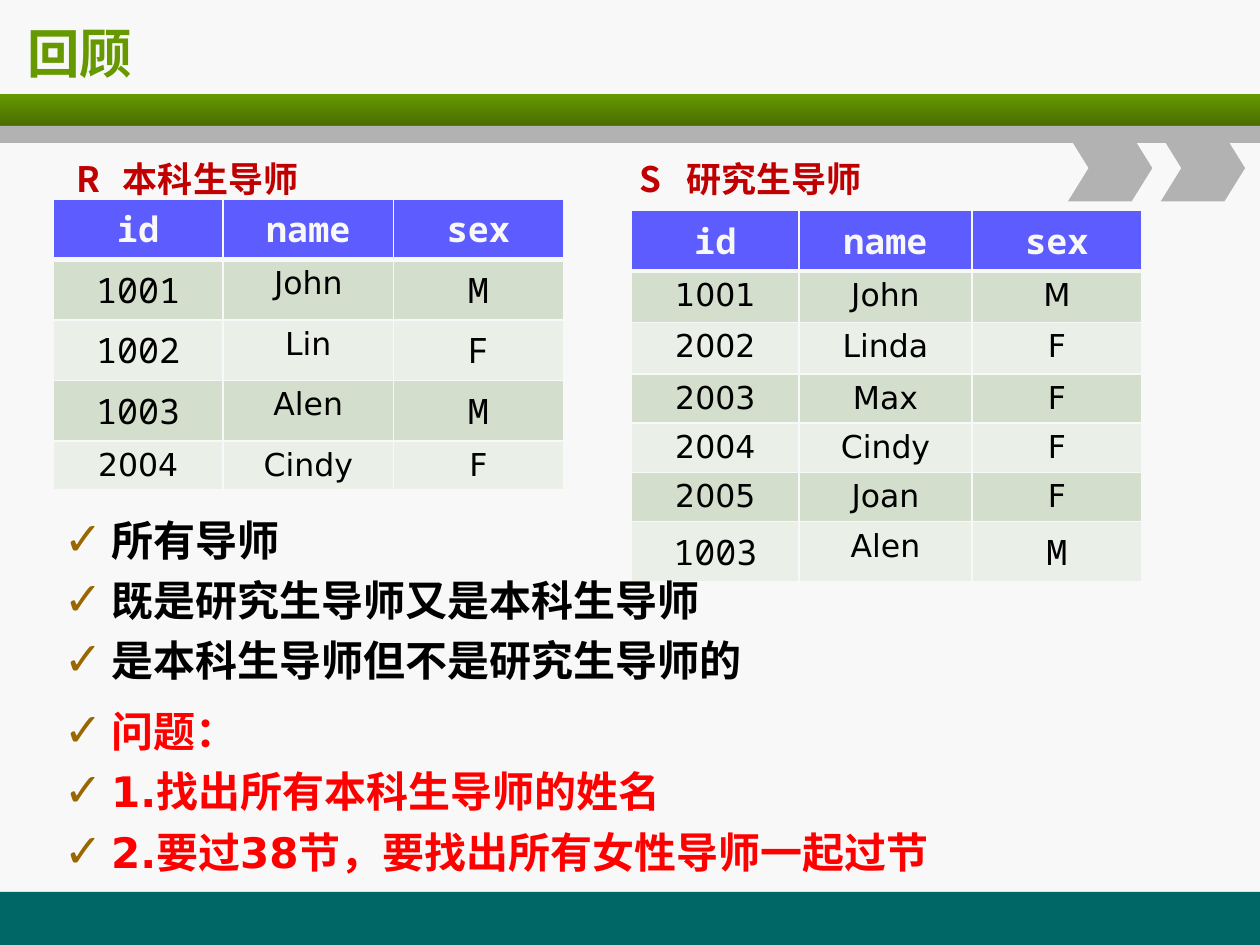
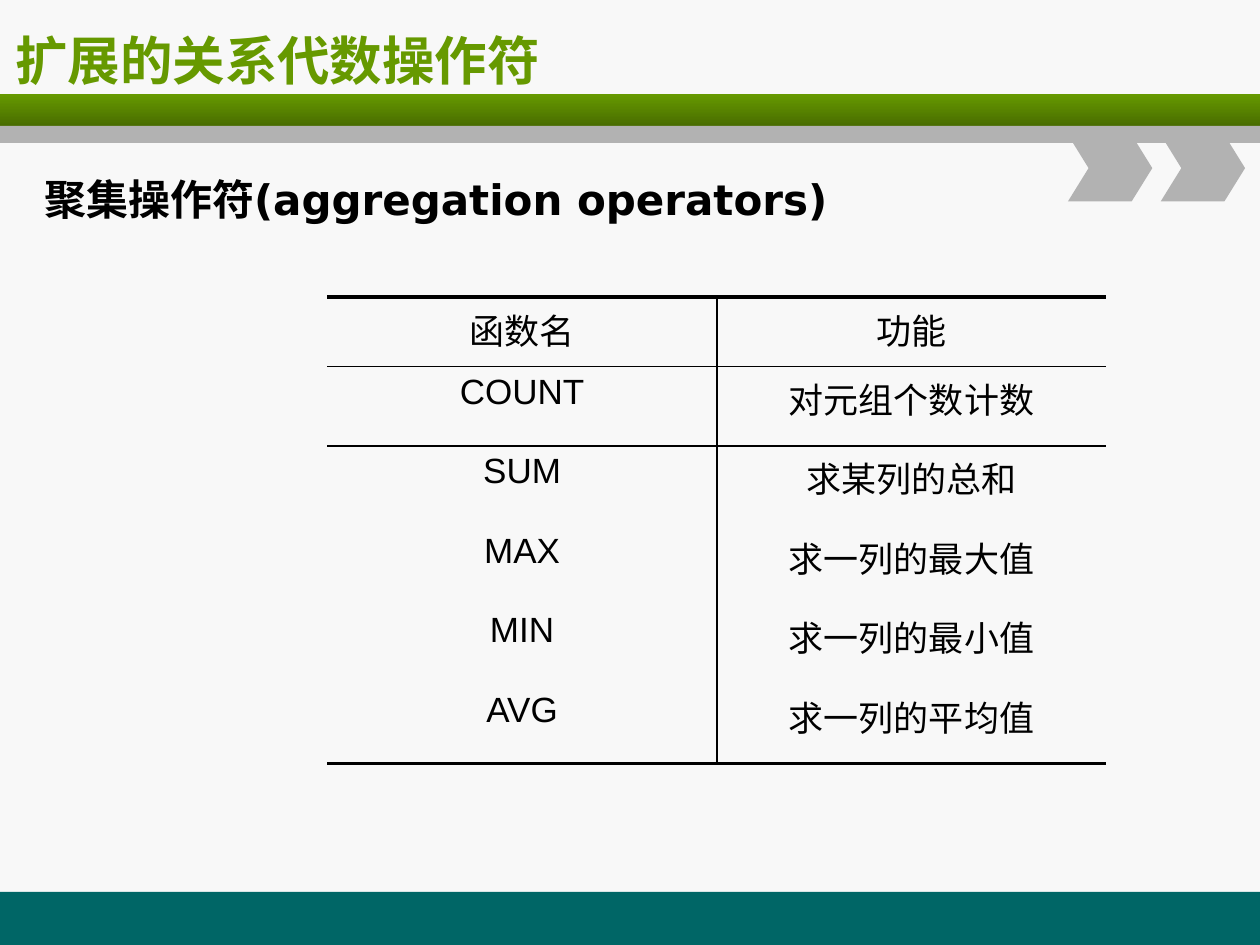
from lxml.etree import SubElement
from pptx import Presentation
from pptx.dml.color import RGBColor
from pptx.enum.shapes import MSO_SHAPE as Preset
from pptx.enum.text import MSO_ANCHOR as Anchor, MSO_AUTO_SIZE as AutoSize, PP_ALIGN as Align
from pptx.oxml.ns import qn
from pptx.util import Cm, Pt

SANS, MONO, ARIAL, CHINESE = "DejaVu Sans", "Noto Sans Mono", "Arial", "Noto Sans CJK SC"
PAPER, GREEN, DARK_GREEN, GRAY, TEAL = "F8F8F8", "669900", "496D00", "B2B2B2", "006666"
BLACK, RED, DARK_RED, BROWN = "000000", "FF0000", "C00000", "996600"
HEADER_FILL, BAND_FILLS = "5C5CFF", ("EAEFE7", "D3DECC")
PLAIN_TABLE = "{2D5ABB26-0587-4C30-8999-92F81FD0307C}"


def rgb(color):
    return RGBColor.from_string(color)


def style(paragraph, size, font_name, color, bold=False, asian_font=None):
    font = paragraph.font
    font.size, font.bold, font.name = Pt(size), bold, font_name
    font.color.rgb = rgb(color)
    properties = paragraph._p.pPr.find(qn("a:defRPr"))
    SubElement(properties, qn("a:ea"), typeface=asian_font or font_name)


presentation = Presentation()
presentation.slide_width, presentation.slide_height = Cm(25.4), Cm(19.05)
title_only = presentation.slide_layouts[5]

# Titles
slides = []
for text, left, top, height in [("回顾", 0.3, 0.1, 1.9),
                                ("扩展的关系代数操作符", 0.05, -0.28, 2.97)]:
    slide = presentation.slides.add_slide(title_only)
    title = slide.shapes.title
    title.left, title.top, title.width, title.height = Cm(left), Cm(top), Cm(21.59), Cm(height)
    frame = title.text_frame
    frame.text = text
    frame.auto_size, frame.vertical_anchor = AutoSize.NONE, Anchor.MIDDLE
    frame.paragraphs[0].alignment = Align.LEFT
    style(frame.paragraphs[0], 30, SANS, GREEN, bold=True)
    slides.append(slide)
review, operators = slides

# Background, bands and chevrons, moved to the master
master = presentation.slide_master
master.background.fill.solid()
master.background.fill.fore_color.rgb = rgb(PAPER)
decorations = [
    (Preset.RECTANGLE, 0, 17.98, 25.4, 1.07, TEAL),
    (Preset.RECTANGLE, 0, 1.9, 25.4, 0.64, GREEN),
    (Preset.RECTANGLE, 0, 2.54, 25.4, 0.34, GRAY),
    (Preset.CHEVRON, 21.53, 2.72, 1.7, 1.34, GRAY),
    (Preset.CHEVRON, 23.4, 2.72, 1.7, 1.34, GRAY),
]
for position, (preset, left, top, width, height, color) in enumerate(decorations):
    shape = review.shapes.add_shape(preset, Cm(left), Cm(top), Cm(width), Cm(height))
    shape.shadow.inherit = False
    shape.line.fill.background()
    if color == GREEN:
        shape.fill.gradient()
        shape.fill.gradient_angle = 270
        for stop, stop_color in zip(shape.fill.gradient_stops, (GREEN, DARK_GREEN)):
            stop.color.rgb = rgb(stop_color)
    else:
        shape.fill.solid()
        shape.fill.fore_color.rgb = rgb(color)
    if preset == Preset.CHEVRON:
        shape.adjustments[0] = 0.31
    master.shapes._spTree.insert(position + 2, shape._element)

# Tables: slide, left, top, column widths, row heights, rows, monospaced rows
header = ("id", "name", "sex")
tables = [
    (review, 1.07, 4.01, [3.43] * 3, [1.04] * 3 + [0.51] * 2,
     [header, ("1001", "John", "M"), ("1002", "Lin", "F"), ("1003", "Alen", "M"),
      ("2004", "Cindy", "F")], (1, 2, 3)),
    (review, 12.73, 4.24, [3.38, 3.48, 3.43], [1.04] * 3 + [0.36, 0.66, 0.51, 0.51],
     [header, ("1001", "John", "M"), ("2002", "Linda", "F"), ("2003", "Max", "F"),
      ("2004", "Cindy", "F"), ("2005", "Joan", "F"), ("1003", "Alen", "M")], (6,)),
    (operators, 6.6, 5.99, [7.85] * 2, [1.4] + [1.6] * 5,
     [("函数名", "功能"), ("COUNT", "对元组个数计数"), ("SUM", "求某列的总和"),
      ("MAX", "求一列的最大值"), ("MIN", "求一列的最小值"), ("AVG", "求一列的平均值")], ()),
]
for slide, left, top, widths, heights, rows, mono_rows in tables:
    graphic = slide.shapes.add_table(len(rows), len(widths), Cm(left), Cm(top),
                                     Cm(sum(widths)), Cm(sum(heights)))
    table = graphic.table
    table._tbl.tblPr.find(qn("a:tableStyleId")).text = PLAIN_TABLE
    for column, width in zip(table.columns, widths):
        column.width = Cm(width)
    for row, height in zip(table.rows, heights):
        row.height = Cm(height)
    last_row = len(rows) - 1
    for r, values in enumerate(rows):
        for c, value in enumerate(values):
            cell = table.cell(r, c)
            cell.text = value
            paragraph = cell.text_frame.paragraphs[0]
            paragraph.alignment = Align.CENTER

            if slide is operators:
                style(paragraph, 20, ARIAL, BLACK, asian_font=CHINESE)
                line_color = BLACK
                borders = {"R" if c == 0 else "L": 1}
                if r < 2:
                    borders["T"] = 1 if r else 2.25
                if r in (0, last_row):
                    borders["B"] = 2.25 if r else 1
            else:
                if r == 0:
                    style(paragraph, 20, MONO, PAPER, bold=True)
                elif r in mono_rows and c != 1:
                    style(paragraph, 20, MONO, BLACK)
                else:
                    style(paragraph, 18, SANS, BLACK)
                line_color = PAPER
                borders = {"L": 1, "R": 1, "T": 3 if r == 1 else 1, "B": 1 if r else 3}

            cell_properties = cell._tc.get_or_add_tcPr()
            for side in "LRTB":
                if side in borders:
                    line = SubElement(cell_properties, qn("a:ln" + side),
                                      w=str(Pt(borders[side])))
                    fill = SubElement(line, qn("a:solidFill"))
                    SubElement(fill, qn("a:srgbClr"), val=line_color)
            if slide is operators:
                cell.fill.background()
            else:
                cell.fill.solid()
                cell.fill.fore_color.rgb = rgb(BAND_FILLS[r % 2] if r else HEADER_FILL)

# Text boxes: slide, place, alignment, kind of gap, size, font, colour, lines
text_boxes = [
    (review, 1.3, 3.05, 5, 1.12, Align.LEFT, "tab", 20, CHINESE, DARK_RED, ["R\t本科生导师"]),
    (review, 12.65, 3.05, 8.05, 1.12, Align.LEFT, "tab", 20, CHINESE, DARK_RED, ["S\t研究生导师"]),
    (review, 1.04, 10.24, 22.83, 4.42, Align.JUSTIFY, "bullet", 24, SANS, BLACK,
     ["所有导师", "既是研究生导师又是本科生导师", "是本科生导师但不是研究生导师的"]),
    (review, 1.04, 14.1, 22.83, 3.63, Align.JUSTIFY, "bullet", 24, SANS, RED,
     ["问题：", "1.找出所有本科生导师的姓名", "2.要过38节，要找出所有女性导师一起过节"]),
    (operators, 0.3, 3.38, 16.97, 2.06, Align.CENTER, None, 24, SANS, BLACK,
     ["聚集操作符(aggregation operators)"]),
]
for slide, left, top, width, height, alignment, gap, size, font_name, color, lines in text_boxes:
    box = slide.shapes.add_textbox(Cm(left), Cm(top), Cm(width), Cm(height))
    frame = box.text_frame
    frame.word_wrap = True
    frame.text = "\n".join(lines)
    for number, paragraph in enumerate(frame.paragraphs):
        paragraph.alignment = alignment
        if number:
            paragraph.space_before = Pt(5.6)
        properties = paragraph._p.get_or_add_pPr()
        if gap == "tab":
            tabs = SubElement(properties, qn("a:tabLst"))
            SubElement(tabs, qn("a:tab"), pos=str(Cm(0.93)), algn="l")
        elif gap == "bullet":
            properties.set("marL", str(Cm(0.95)))
            properties.set("indent", str(-Cm(0.95)))
            bullet_color = SubElement(properties, qn("a:buClr"))
            SubElement(bullet_color, qn("a:srgbClr"), val=BROWN)
            SubElement(properties, qn("a:buSzPct"), val="110000")
            SubElement(properties, qn("a:buFont"), typeface=SANS)
            SubElement(properties, qn("a:buChar"), char="✓")
        style(paragraph, size, font_name, color, bold=True)

presentation.save("out.pptx")
